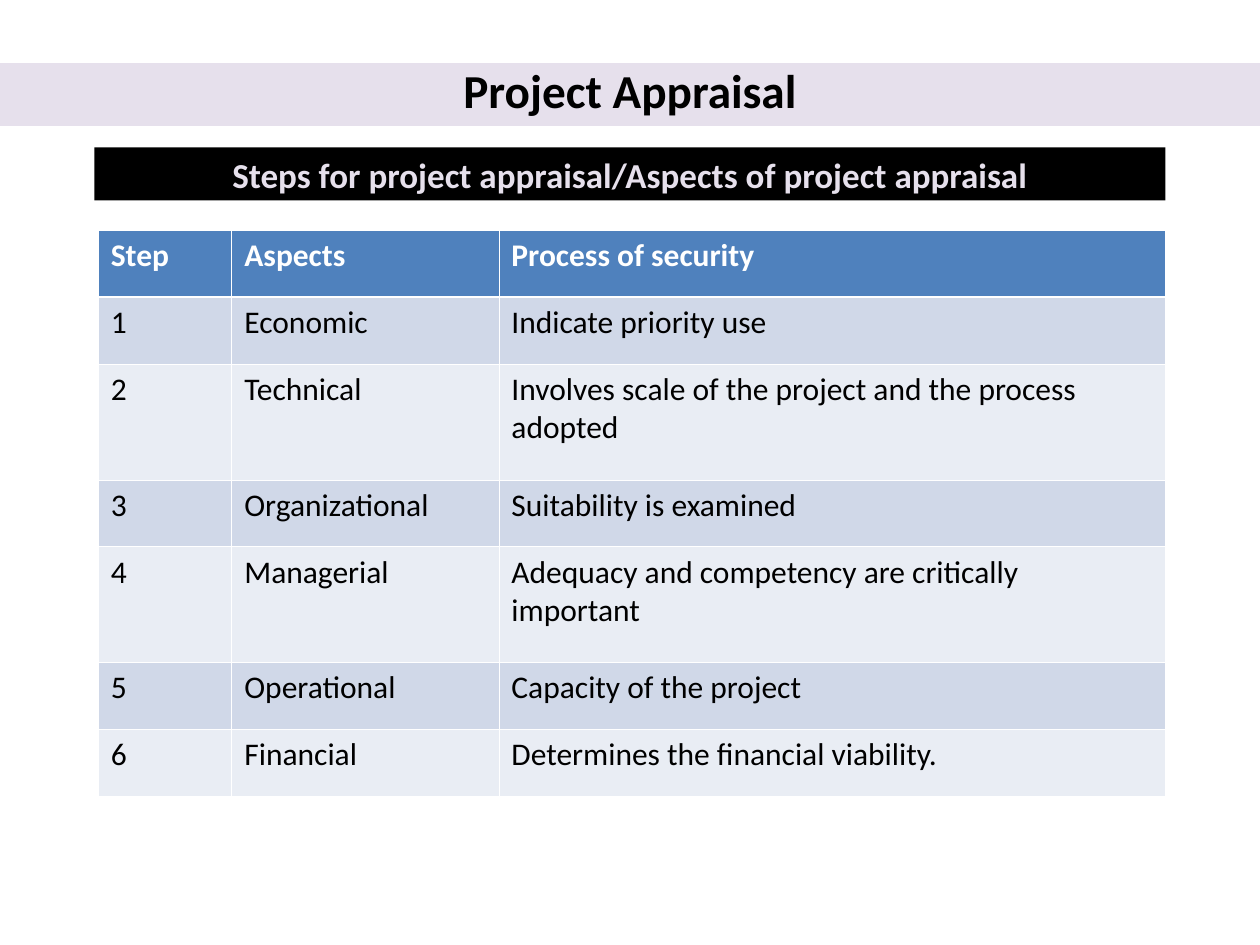
"""Build the Project Appraisal slide with its table of appraisal steps."""
from lxml import etree
from pptx import Presentation
from pptx.dml.color import RGBColor
from pptx.enum import shapes, text
from pptx.oxml.ns import qn
from pptx.util import Inches, Pt


def color(value):
    return RGBColor.from_string(value)


def write(frame, words, size, font_color, bold, **paragraph_format):
    frame.word_wrap = True
    paragraph = frame.paragraphs[0]
    paragraph.text = words
    for name, value in paragraph_format.items():
        setattr(paragraph, name, value)
    for name, value in {"name": "Calibri", "size": Pt(size), "bold": bold}.items():
        setattr(paragraph.font, name, value)
    paragraph.font.color.rgb = color(font_color)


presentation = Presentation()
presentation.slide_width = Inches(10)
presentation.slide_height = Inches(7.5)
slide = presentation.slides.add_slide(presentation.slide_layouts[5])

title = slide.shapes.title
for name, value in {"left": 0, "top": 0.5, "width": 10, "height": 0.5}.items():
    setattr(title, name, Inches(value))
title.fill.solid()
title.fill.fore_color.rgb = color("E6E0EC")
title.text_frame.auto_size = text.MSO_AUTO_SIZE.NONE
title.text_frame.vertical_anchor = text.MSO_ANCHOR.MIDDLE
write(title.text_frame, "Project Appraisal", 27, "000000", True,
      alignment=text.PP_ALIGN.CENTER, line_spacing=0.8)

subtitle = slide.shapes.add_shape(shapes.MSO_SHAPE.RECTANGLE,
                                  Inches(0.75), Inches(1.17), Inches(8.5), Inches(0.42))
subtitle.shadow.inherit = False
subtitle.fill.solid()
subtitle.fill.fore_color.rgb = color("000000")
subtitle.line.fill.background()
subtitle.text_frame.vertical_anchor = text.MSO_ANCHOR.TOP
write(subtitle.text_frame, "Steps for project appraisal/Aspects of project appraisal",
      20, "E6E0EC", True, alignment=text.PP_ALIGN.CENTER)

steps = [
    ("Step", "Aspects", "Process of security"),
    ("1", "Economic", "Indicate priority use"),
    ("2", "Technical", "Involves scale of the project and the process adopted"),
    ("3", "Organizational", "Suitability is examined"),
    ("4", "Managerial", "Adequacy and competency are critically important"),
    ("5", "Operational", "Capacity of the project"),
    ("6", "Financial", "Determines the financial viability."),
]
column_widths = [1.06, 2.12, 5.29]
row_heights = [0.53, 0.53, 0.92, 0.53, 0.92, 0.53, 0.53]
table = slide.shapes.add_table(len(steps), len(column_widths), Inches(0.78), Inches(1.83),
                               Inches(sum(column_widths)), Inches(sum(row_heights))).table
for column, width in zip(table.columns, column_widths):
    column.width = Inches(width)

for row_index, (row, height, step) in enumerate(zip(table.rows, row_heights, steps)):
    row.height = Inches(height)
    header = row_index == 0
    fill_color = "4F81BD" if header else ("E9EDF4", "D0D8E8")[row_index % 2]
    thick_edge = {0: "lnB", 1: "lnT"}.get(row_index)
    for cell, words in zip(row.cells, step):
        properties = cell._tc.get_or_add_tcPr()
        for edge in ("lnL", "lnR", "lnT", "lnB"):
            border_width = Pt(1.47 if edge == thick_edge else 0.45)
            border = etree.SubElement(properties, qn(f"a:{edge}"), w=str(border_width))
            border_fill = etree.SubElement(border, qn("a:solidFill"))
            etree.SubElement(border_fill, qn("a:srgbClr"), val="FFFFFF")
        cell.fill.solid()
        cell.fill.fore_color.rgb = color(fill_color)
        write(cell.text_frame, words, 18, "FFFFFF" if header else "000000", header)

presentation.save("out.pptx")
